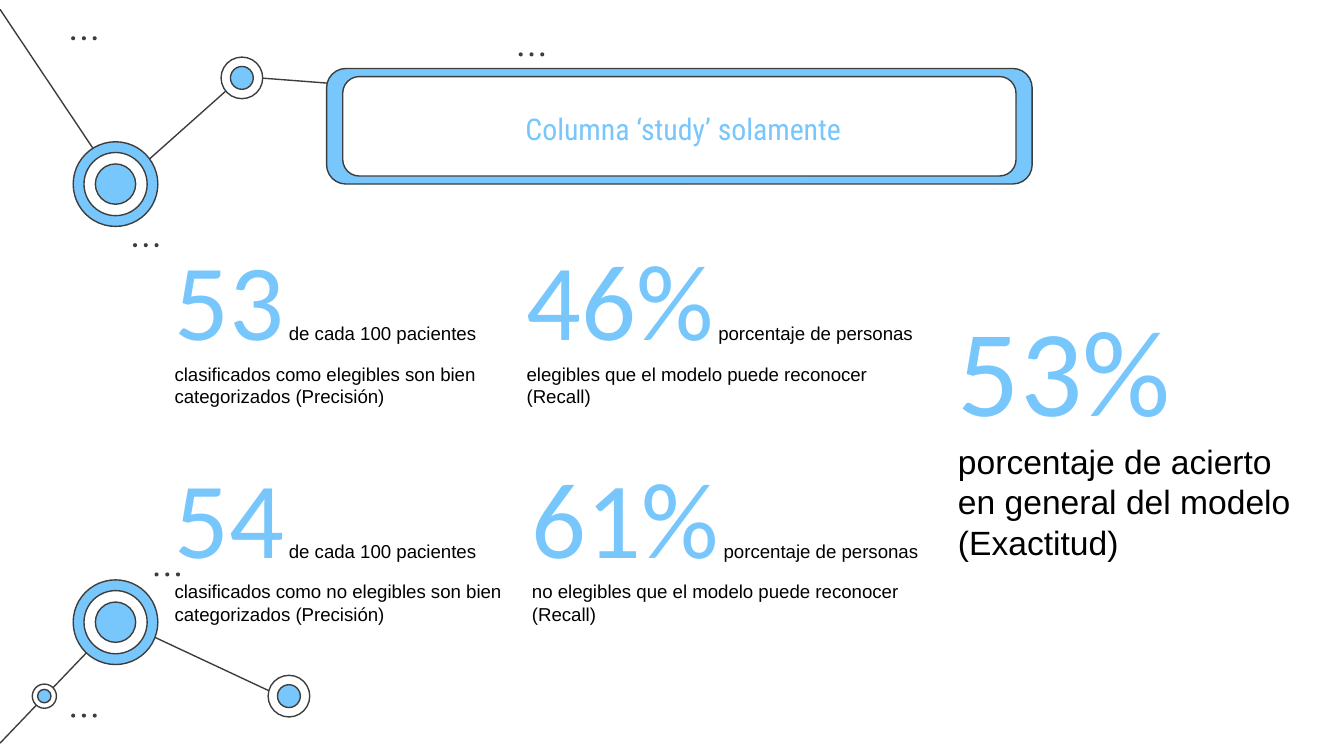
"""Build the slide with the metrics of the model that uses only the 'study' column."""
from lxml import etree
from pptx import Presentation
from pptx import util as u
from pptx.dml import color
from pptx.enum import shapes, text
from pptx.oxml import ns

COLORS = {"blue": "77C6FC", "dark": "3D3D3D", "white": "FFFFFF", "black": "000000"}


def rgb(name):
    return color.RGBColor.from_string(COLORS[name])


def add_shape(kind, x, y, w, h, fill, outlined=True):
    sp = s.shapes.add_shape(kind, u.Inches(x), u.Inches(y), u.Inches(w), u.Inches(h))
    sp.shadow.inherit = False
    sp.fill.solid()
    sp.fill.fore_color.rgb = rgb(fill)
    if outlined:
        sp.line.color.rgb = rgb("dark")
        sp.line.width = u.Pt(0.75)
    else:
        sp.line.fill.background()
    return sp


prs = Presentation()
prs.slide_width = u.Inches(10)
prs.slide_height = u.Inches(10 * 9 / 16)
s = prs.slides.add_slide(prs.slide_layouts[5])
s.background.fill.solid()
s.background.fill.fore_color.rgb = rgb("white")

links = [
    (1.8, 0.57, 3.63, 0.71),
    (0.88, 1.39, 1.79, 0.58),
    (0, 0.07, 0.87, 1.37),
    (0.87, 4.61, 2.13, 5.2),
    (0, 5.53, 0.87, 4.62),
]
for link in links:
    cxn = s.shapes.add_connector(shapes.MSO_CONNECTOR.STRAIGHT, *map(u.Inches, link))
    cxn.line.color.rgb = rgb("dark")
    cxn.line.width = u.Pt(0.75)
    etree.SubElement(cxn.element.spPr, ns.qn("a:effectLst"))

large = [(0.63, "blue"), (0.47, "white"), (0.3, "blue")]
medium = [(0.31, "white"), (0.17, "blue")]
small = [(0.18, "white"), (0.1, "blue")]
nodes = [
    (0.86, 1.37, large),
    (1.8, 0.58, medium),
    (0.86, 4.63, large),
    (2.15, 5.18, medium),
    (0.33, 5.18, small),
]
for x, y, rings in nodes:
    for d, fill in rings:
        add_shape(shapes.MSO_SHAPE.OVAL, x - d / 2, y - d / 2, d, d, fill)

for x, y in [(3.86, 0.39), (0.53, 0.27), (0.99, 1.81), (0.53, 5.31), (1.15, 4.26)]:
    for i in range(3):
        add_shape(shapes.MSO_SHAPE.OVAL, x + i * 0.08, y, 0.03, 0.03, "dark", False)

add_shape(shapes.MSO_SHAPE.ROUNDED_RECTANGLE, 2.43, 0.51, 5.25, 0.86, "blue")
add_shape(shapes.MSO_SHAPE.ROUNDED_RECTANGLE, 2.55, 0.57, 5.01, 0.74, "white")

title = s.shapes.title
s.shapes.element.append(title.element)
title.left, title.top = u.Inches(2.58), u.Inches(0.62)
title.width, title.height = u.Inches(5.01), u.Inches(0.67)
tf = title.text_frame
tf.text = "Columna ‘study’ solamente"
tf.auto_size = text.MSO_AUTO_SIZE.NONE
tf.vertical_anchor = text.MSO_ANCHOR.MIDDLE
tf.margin_left = tf.margin_right = tf.margin_top = tf.margin_bottom = u.Inches(0.1)
p = tf.paragraphs[0]
p.alignment = text.PP_ALIGN.CENTER
r = p.runs[0]
r.font.name, r.font.size = "Roboto Condensed", u.Pt(16)
r.font.color.rgb = rgb("blue")

metrics = [
    (1.2, 1.63, 3.12, 1.52, "53", (58, 9, 10),
     "de cada 100 pacientes clasificados como elegibles son bien categorizados (Precisión)"),
    (1.2, 3.25, 3.12, 1.52, "54", (58, 9, 10),
     "de cada 100 pacientes clasificados como no elegibles son bien categorizados (Precisión)"),
    (3.82, 1.63, 3.12, 1.52, "46%", (58, 9, 10),
     "porcentaje de personas elegibles que el modelo puede reconocer (Recall)"),
    (3.86, 3.25, 3.12, 1.52, "61%", (58, 9, 10),
     "porcentaje de personas no elegibles que el modelo puede reconocer (Recall)"),
    (7.03, 2.08, 2.8, 2.22, "53%", (66, 17, 18),
     "porcentaje de acierto en general del modelo (Exactitud)"),
]
for x, y, w, h, value, sizes, label in metrics:
    sp = s.shapes.add_textbox(u.Inches(x), u.Inches(y), u.Inches(w), u.Inches(h))
    tf = sp.text_frame
    tf.word_wrap = True
    tf.auto_size = text.MSO_AUTO_SIZE.SHAPE_TO_FIT_TEXT
    tf.margin_left = tf.margin_right = tf.margin_top = tf.margin_bottom = u.Inches(0.1)
    p = tf.paragraphs[0]
    fonts = [("Calibri", "blue"), ("Arial", "black"), ("Arial", "black")]
    for words, size, (font, ink) in zip((value, " ", label), sizes, fonts):
        r = p.add_run()
        r.text = words
        r.font.name, r.font.size = font, u.Pt(size)
        r.font.color.rgb = rgb(ink)

prs.save("out.pptx")
